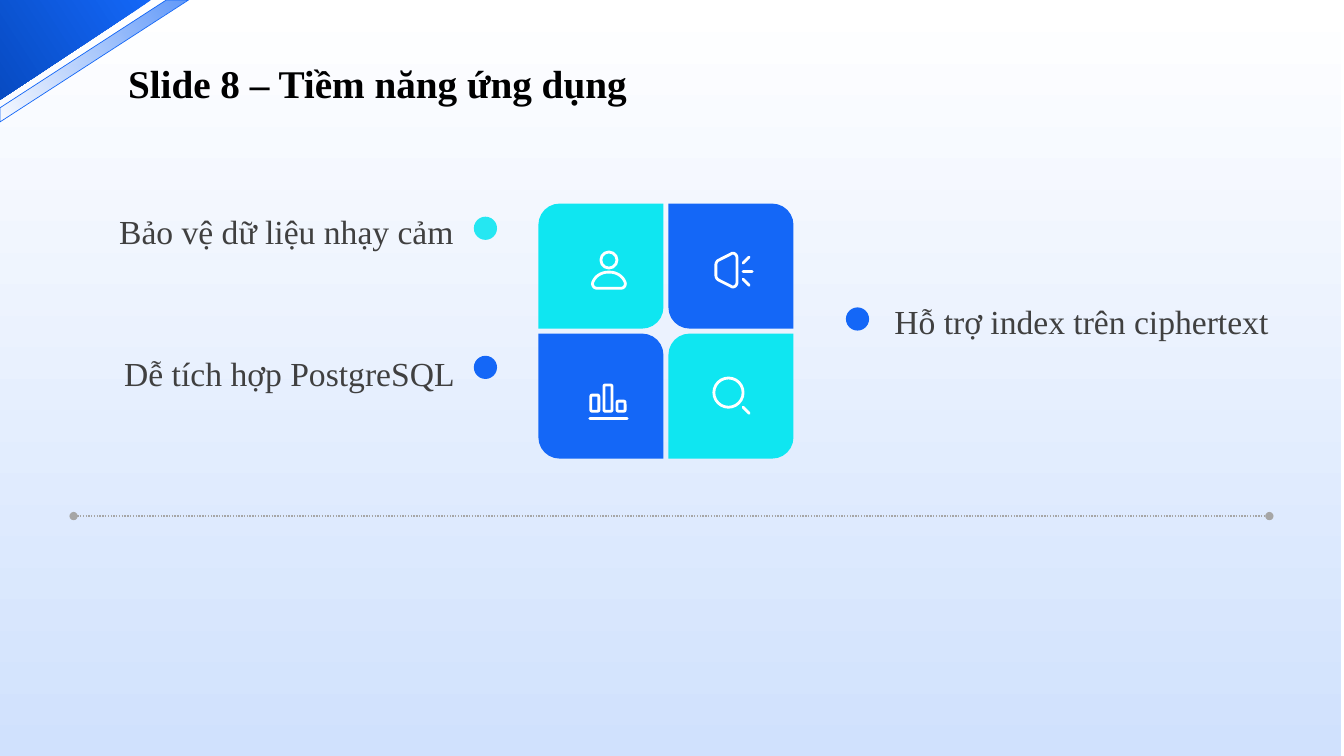
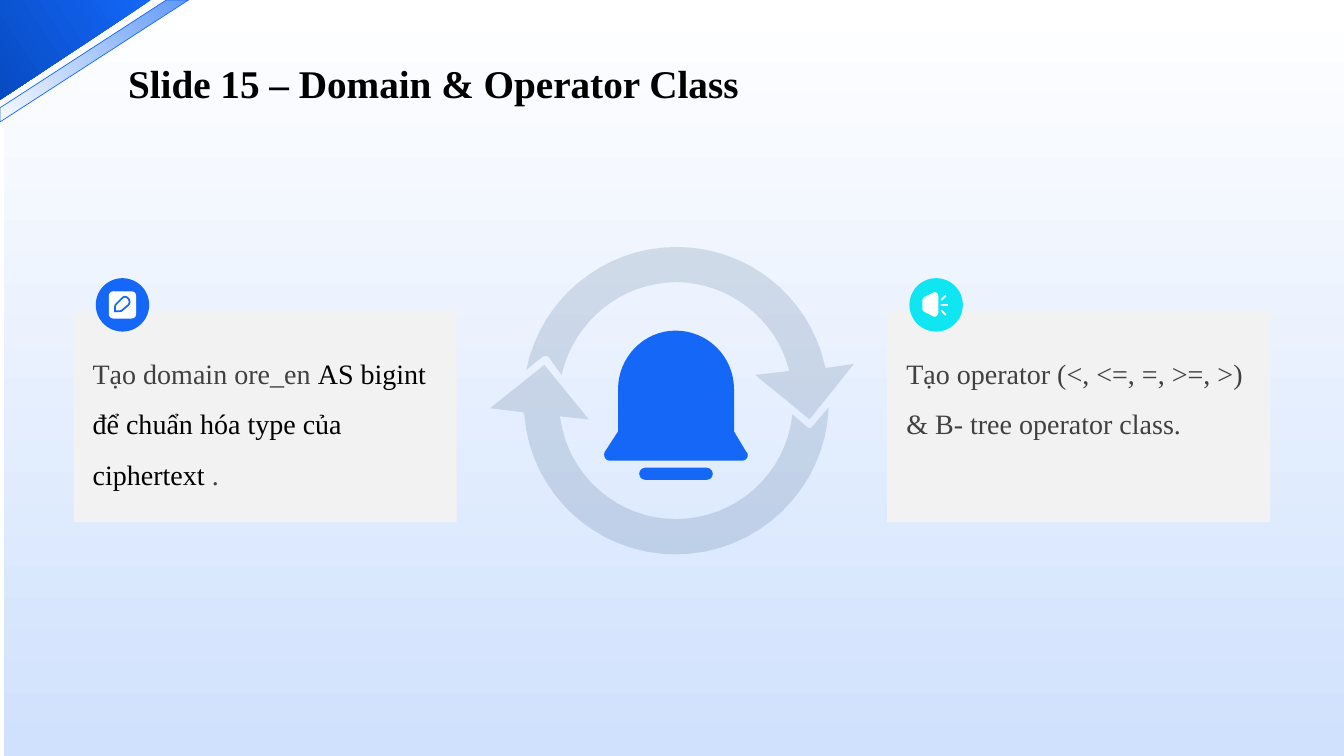
from lxml import etree
from pptx import Presentation
from pptx.dml.color import RGBColor
from pptx.enum import dml, shapes, text
from pptx.oxml.ns import qn
from pptx.util import Inches, Pt

COLORS = {
    "blue": "1467F7", "deep": "074BC2", "band": "196AF7", "cyan": "0FE6F1",
    "navy": "17406D", "white": "FFFFFF", "mist": "D0E1FD", "card": "F2F2F2",
    "muted": "404040", "black": "000000", "rule": "A6A6A6",
}
FONT = "Times New Roman"
WIDTH, HEIGHT = 13.33, 7.5
SHAPE = shapes.MSO_SHAPE
ALIGN = text.PP_ALIGN

PERSON_BODY = [
    (.05, .38), (.02, .38, 0, .35, .01, .32), (.03, .27, .08, .22, .17, .22),
    (.26, .22, .31, .27, .33, .32), (.34, .35, .32, .38, .29, .38),
]
HORN = [
    (.16, .02), (.18, 0, .22, .02, .22, .06), (.22, .3),
    (.22, .34, .18, .36, .16, .34), (.04, .28), (.02, .27, .01, .25, .01, .23),
    (.01, .13), (.01, .11, .02, .09, .04, .08),
]
HORN_RAYS = [(.28, .27, .34, .33), (.28, .19, .37, .19), (.28, .11, .34, .05)]
PENCIL = [
    (.06, .2), (.06, .17, .06, .14, .07, .13), (.13, .07), (.15, .05, .17, .05, .19, .07),
    (.21, .09, .21, .12, .19, .14), (.13, .19), (.12, .2, .09, .2, .06, .2),
]
BELL = [
    (.13, .58), (.13, .26, .39, 0, .7, 0), (1.02, 0, 1.28, .26, 1.28, .58), (1.28, 1),
    (1.4, 1.2), (1.42, 1.22, 1.42, 1.24, 1.41, 1.26), (1.4, 1.28, 1.38, 1.29, 1.36, 1.29),
    (.05, 1.29), (.03, 1.29, .01, 1.28, 0, 1.26), (-.01, 1.24, -.01, 1.22, 0, 1.2), (.13, 1),
]
UPPER_ARROW = [
    (1.49, .35), (2, .35, 2.47, .71, 2.6, 1.2), (2.61, 1.23), (2.27, 1.27), (2.81, 1.71),
    (3.25, 1.16), (2.97, 1.2), (2.96, 1.17), (2.8, .48, 2.19, 0, 1.49, 0),
    (.76, 0, .14, .52, 0, 1.22), (.16, 1.09), (.19, 1.08), (.22, 1.09), (.35, 1.27),
    (.47, .74, .94, .35, 1.49, .35),
]
LOWER_ARROW = [
    (1.84, 1.53), (1.28, 1.53, .78, 1.11, .7, .54), (.69, .51), (.98, .54), (.54, 0),
    (0, .43), (.33, .47), (.34, .49), (.4, 1.28, 1.06, 1.88, 1.84, 1.88),
    (2.66, 1.88, 3.33, 1.23, 3.36, .42), (3.2, .61), (3.17, .63), (3.15, .62), (3, .49),
    (2.94, 1.08, 2.44, 1.53, 1.84, 1.53),
]


def rgb(name):
    """Return the named colour."""
    return RGBColor.from_string(COLORS[name])


def fade(shape, *opacities):
    """Set the opacity of the fill colours in order."""
    for color, opacity in zip(shape.element.spPr.iter(qn("a:srgbClr")), opacities):
        etree.SubElement(color, qn("a:alpha"), val=str(opacity * 1000))


def paint(shape, fill=None, line=None, weight=2):
    """Give a shape a flat fill and an outline, or none of either."""
    shape.shadow.inherit = False
    if fill:
        shape.fill.solid()
        shape.fill.fore_color.rgb = rgb(fill)
    else:
        shape.fill.background()
    if line:
        shape.line.color.rgb = rgb(line)
        shape.line.width = Pt(weight)
    else:
        shape.line.fill.background()
    return shape


def blend(shape, first, last, angle):
    """Fill a shape with a two-colour gradient."""
    shape.fill.gradient()
    shape.fill.gradient_angle = angle
    for stop, name in zip(shape.fill.gradient_stops, (first, last)):
        stop.color.rgb = rgb(name)


def preset(slide, kind, box, fill=None, line=None, weight=2, adjust=()):
    """Add a preset shape in a box of left, top, width, height."""
    shape = slide.shapes.add_shape(kind, *map(Inches, box))
    for index, value in enumerate(adjust):
        shape.adjustments[index] = value
    return paint(shape, fill, line, weight)


def outline(slide, origin, contour, fill=None, line=None, weight=2, scale=1):
    """Draw a closed contour of corners and cubic curves from an origin."""
    points = []
    for item in contour:
        if len(item) == 2:
            points.append(item)
            continue
        (ax, ay), (bx, by, cx, cy, dx, dy) = points[-1], item
        for step in range(1, 17):
            t = step / 16
            weights = ((1 - t) ** 3, 3 * t * (1 - t) ** 2, 3 * t * t * (1 - t), t ** 3)
            points.append(tuple(sum(w * p for w, p in zip(weights, axis))
                                for axis in ((ax, bx, cx, dx), (ay, by, cy, dy))))
    left, top = origin
    placed = [(Inches(left + x * scale), Inches(top + y * scale)) for x, y in points]
    builder = slide.shapes.build_freeform(*placed[0], scale=1.0)
    builder.add_line_segments(placed[1:], close=True)
    return paint(builder.convert_to_shape(), fill, line, weight)


def stroke(slide, ends, color, weight):
    """Add a straight line with round caps and return its line element."""
    connector = slide.shapes.add_connector(shapes.MSO_CONNECTOR.STRAIGHT, *map(Inches, ends))
    connector.line.color.rgb = rgb(color)
    connector.line.width = Pt(weight)
    etree.SubElement(connector.element.spPr, qn("a:effectLst"))
    line = connector.element.spPr.find(qn("a:ln"))
    line.set("cap", "rnd")
    return connector, line


def write(slide, box, runs, size, spacing, color="muted", bold=False,
          align=ALIGN.LEFT, anchor=text.MSO_ANCHOR.TOP, insets=(0, 0)):
    """Write one paragraph of (words, colour) runs in a box."""
    frame = slide.shapes.add_textbox(*map(Inches, box)).text_frame
    frame.word_wrap = True
    frame.vertical_anchor = anchor
    frame.margin_left = frame.margin_right = Inches(insets[0])
    frame.margin_top = frame.margin_bottom = Inches(insets[1])
    paragraph = frame.paragraphs[0]
    paragraph.alignment = align
    paragraph.line_spacing = spacing
    paragraph.font.name = FONT
    paragraph.font.size = Pt(size)
    paragraph.font.bold = bold
    paragraph.font.color.rgb = rgb(color)
    for words, own_color in runs:
        run = paragraph.add_run()
        run.text = words
        if own_color:
            run.font.color.rgb = rgb(own_color)


def backdrop(prs, left, top):
    """Add a blank slide with the shared pale gradient."""
    slide = prs.slides.add_slide(prs.slide_layouts[6])
    blend(preset(slide, SHAPE.RECTANGLE, (left, top, WIDTH, HEIGHT)), "white", "mist", 270)
    return slide


def heading(slide, title):
    """Add the shared corner ornament and the title."""
    corner = outline(slide, (0, 0), [(0, 0), (1.5, 0), (0, .99)])
    blend(corner, "blue", "deep", 213)
    band = outline(slide, (0, 0), [(1.65, 0), (1.87, 0), (0, 1.21), (0, 1.07)],
                   line="blue", weight=.5)
    blend(band, "blue", "band", 213)
    fade(band, 68, 0)
    write(slide, (1.27, .43, 8.42, .65), [(title, None)], 28, 1.3, "black", True,
          anchor=text.MSO_ANCHOR.MIDDLE)


def person(slide, left, top):
    """Draw a person icon."""
    preset(slide, SHAPE.OVAL, (left + .09, top + .02, .16, .16), line="white")
    outline(slide, (left, top), PERSON_BODY, line="white")


def bar_icon(slide, left, top):
    """Draw three hollow bars on a baseline."""
    for index, height in enumerate((.16, .26, .1)):
        box = (left + .02 + .13 * index, top + .27 - height, .08, height)
        preset(slide, SHAPE.ROUNDED_RECTANGLE, box, line="white", adjust=(.15,))
    stroke(slide, (left + .01, top + .34, left + .38, top + .34), "white", 2)


def magnifier(slide, left, top):
    """Draw a magnifier icon."""
    preset(slide, SHAPE.OVAL, (left + .01, top + .01, .29, .29), line="white")
    stroke(slide, (left + .3, top + .3, left + .36, top + .36), "white", 2)


def megaphone(slide, left, top, scale=1, fill=None):
    """Draw a megaphone icon with three rays."""
    outline(slide, (left, top), HORN, fill, "white", 2 * scale, scale)
    for x1, y1, x2, y2 in HORN_RAYS:
        ends = (left + x1 * scale, top + y1 * scale, left + x2 * scale, top + y2 * scale)
        stroke(slide, ends, "white", 2 * scale)


def pencil(slide, left, top):
    """Draw a pencil on a white tile."""
    preset(slide, SHAPE.ROUNDED_RECTANGLE, (left, top, .27, .27), "white", adjust=(.16,))
    outline(slide, (left, top), PENCIL, line="blue", weight=1.25)


def tile_grid(slide, left, top, side=1.24, gap=.05):
    """Place four tiles whose rounded corners alternate, with icons."""
    for row in range(2):
        for column in range(2):
            same = row == column
            box = (left + column * (side + gap), top + row * (side + gap), side, side)
            preset(slide, SHAPE.ROUND_2_DIAG_RECTANGLE, box, "cyan" if same else "blue",
                   adjust=(.17, 0) if same else (0, .17))
    person(slide, left + .53, top + .46)
    megaphone(slide, left + 1.75, top + .48)
    bar_icon(slide, left + .5, top + 1.79)
    magnifier(slide, left + 1.73, top + 1.72)


def bullet_label(slide, dot, box, words, color, align=ALIGN.LEFT, opacity=100):
    """Add a label and its coloured dot."""
    marker = preset(slide, SHAPE.OVAL, (*dot, .23, .23), color)
    if opacity < 100:
        fade(marker, opacity)
    write(slide, box, [(words, None)], 24, 1.3, align=align)


def divider(slide, left, right, y):
    """Draw the dotted rule with round ends."""
    connector, line = stroke(slide, (left, y, right, y), "rule", 1)
    line.set("cap", "flat")
    connector.line.dash_style = dml.MSO_LINE.ROUND_DOT
    for end in ("a:headEnd", "a:tailEnd"):
        etree.SubElement(line, qn(end), type="oval")


def cycle(slide, left, top):
    """Draw two circling arrows around a bell."""
    outline(slide, (left + 1.14, top + .83), BELL, "blue")
    preset(slide, SHAPE.ROUNDED_RECTANGLE, (left + 1.48, top + 2.19, .73, .12), "blue",
           adjust=(.5,))
    for origin, arrow in (((left, top + 1.17), LOWER_ARROW), ((left + .36, top), UPPER_ARROW)):
        fade(outline(slide, origin, arrow, "navy"), 15)


def card(slide, left, top, runs, badge):
    """Add a text card with a round badge on its top edge."""
    preset(slide, SHAPE.RECTANGLE, (left, top, 3.8, 2.1), "card")
    write(slide, (left + .09, top + .24, 3.69, 1.66), runs, 20, 1.5, insets=(.1, .05))
    preset(slide, SHAPE.OVAL, (left + .22, top - .32, .53, .53), badge)


def potential_slide(prs):
    """Build the slide on application potential."""
    slide = backdrop(prs, -.03, .01)
    tile_grid(slide, 5.34, 2.02)
    bullet_label(slide, (4.7, 2.15), (.7, 1.97, 3.8, 1.21), "Bảo vệ dữ liệu nhạy cảm",
                 "cyan", ALIGN.RIGHT, 90)
    bullet_label(slide, (4.7, 3.53), (.71, 3.38, 3.8, 1.21), "Dễ tích hợp PostgreSQL",
                 "blue", ALIGN.RIGHT)
    bullet_label(slide, (8.39, 3.05), (8.87, 2.87, 3.86, 1.21), "Hỗ trợ index trên ciphertext",
                 "blue")
    divider(slide, .73, 12.59, 5.12)
    heading(slide, "Slide 8 – Tiềm năng ứng dụng")


def domain_slide(prs):
    """Build the slide on the domain and the operator class."""
    slide = backdrop(prs, .04, 0)
    cycle(slide, 4.86, 2.45)
    card(slide, 8.8, 3.08,
         [("Tạo operator (<, <=, =, >=, >) & B- tree operator class.", None)], "cyan")
    megaphone(slide, 9.15, 2.9, .67, "white")
    card(slide, .73, 3.08,
         [("Tạo domain ore_en ", None),
          ("AS bigint để chuẩn hóa type của ciphertext ", "black"), (".", None)], "blue")
    pencil(slide, 1.08, 2.89)
    heading(slide, "Slide 15 – Domain & Operator Class")


def main():
    """Build and save the presentation."""
    prs = Presentation()
    prs.slide_width, prs.slide_height = Inches(WIDTH), Inches(HEIGHT)
    potential_slide(prs)
    domain_slide(prs)
    prs.save("out.pptx")


if __name__ == "__main__":
    main()
